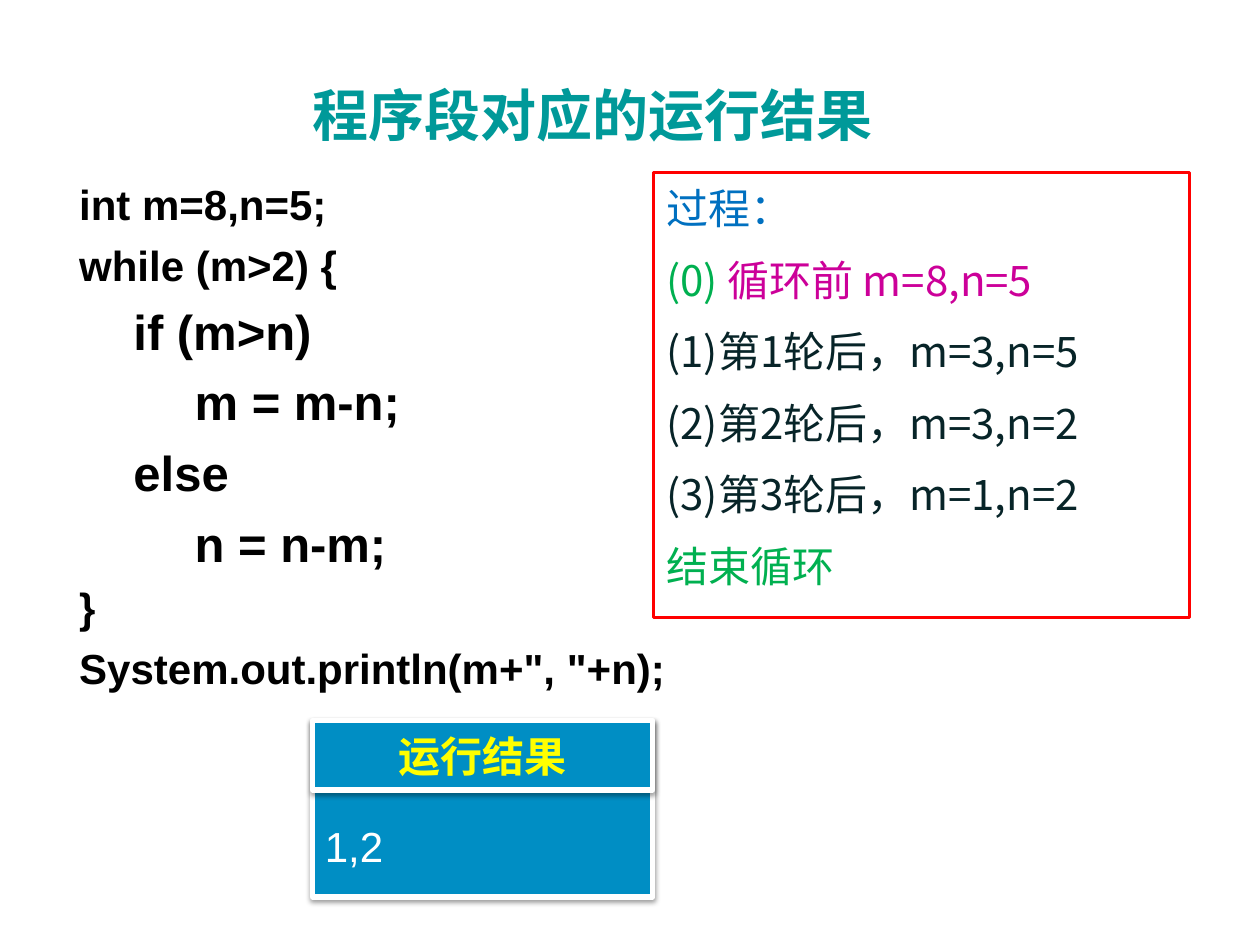
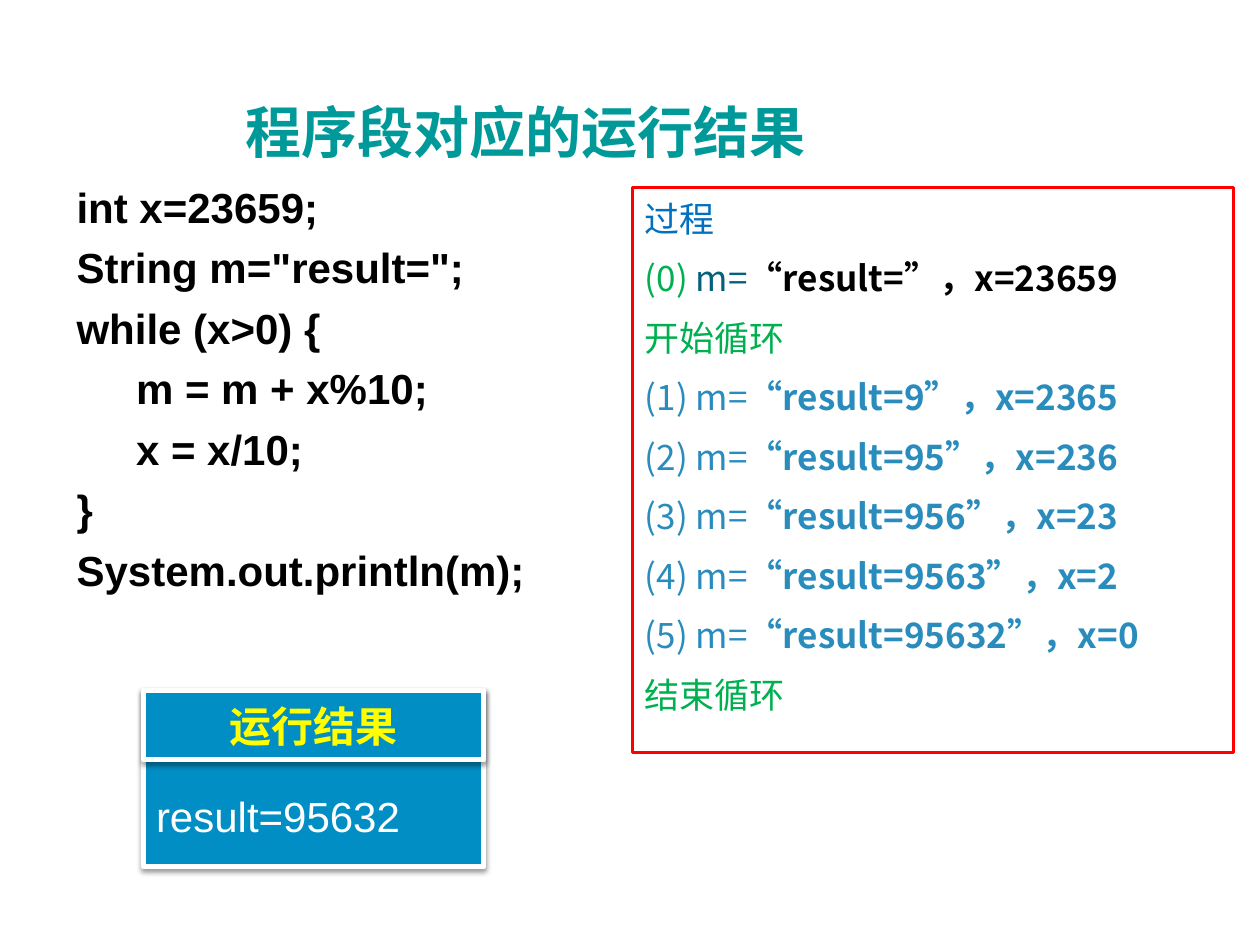
import pptx
import pptx.util
import pptx.dml.color
import pptx.enum.shapes
import pptx.enum.text
import pptx.oxml
import pptx.oxml.ns

Pt = pptx.util.Pt
ANCHOR = pptx.enum.text.MSO_ANCHOR
ALIGN = pptx.enum.text.PP_ALIGN
RECT = pptx.enum.shapes.MSO_SHAPE.RECTANGLE

COLORS = {
    "title": "009999", "black": "000000", "white": "FFFFFF", "frame": "FF0000",
    "card": "008EC4", "yellow": "FFFF00", "heading": "0070C0", "green": "00B050",
    "magenta": "CC0099", "dark": "072428", "teal": "04617B", "step": "298CBD",
}
LATIN, CJK, TITLE_FONT = "Arial", "Noto Sans CJK SC", "Montserrat"
TITLE = "程序段对应的运行结果"
CARD_W, CARD_H, HEAD_H = 194.4, 100.8, 39.6
SHADOW = (
    '<a:effectLst %s><a:outerShdw blurRad="%d" dist="%d" dir="5400000" '
    'rotWithShape="0"><a:srgbClr val="000000"><a:alpha val="38000"/>'
    '</a:srgbClr></a:outerShdw></a:effectLst>'
    % (pptx.oxml.ns.nsdecls("a"), Pt(3.1), Pt(1.6)))


def rgb(name):
    """Look up a named colour."""
    return pptx.dml.color.RGBColor.from_string(COLORS[name])


def add_text(p, text, size=24, color="black", font=LATIN, bold=False):
    """Add a formatted run to a paragraph."""
    r = p.add_run()
    r.text = text
    r.font.size, r.font.name, r.font.bold = Pt(size), font, bold
    r.font.color.rgb = rgb(color)
    ea = pptx.oxml.parse_xml(
        '<a:ea %s typeface="%s"/>' % (pptx.oxml.ns.nsdecls("a"), CJK))
    r.font._element.find(pptx.oxml.ns.qn("a:latin")).addnext(ea)


def paragraphs(tf, count):
    """Yield the given number of paragraphs, starting with the first."""
    for i in range(count):
        yield tf.add_paragraph() if i else tf.paragraphs[0]


def add_rect(shapes, box, line, width, fill=None):
    """Add an outlined rectangle, filled if a fill colour is named."""
    sp = shapes.add_shape(RECT, *map(Pt, box))
    sp.shadow.inherit = False
    if fill:
        sp.fill.solid()
        sp.fill.fore_color.rgb = rgb(fill)
    else:
        sp.fill.background()
    sp.line.color.rgb = rgb(line)
    sp.line.width = Pt(width)
    sp.text_frame.word_wrap = True
    return sp


def set_title(s, box):
    """Place and format the slide title."""
    sp = s.shapes.title
    sp.left, sp.top, sp.width, sp.height = map(Pt, box)
    tf = sp.text_frame
    tf.margin_left = tf.margin_right = tf.margin_bottom = 0
    tf.margin_top = Pt(3.6)
    tf.vertical_anchor = ANCHOR.BOTTOM
    tf.word_wrap = True
    p = tf.paragraphs[0]
    p.alignment = ALIGN.LEFT
    add_text(p, TITLE, size=32, color="title", font=TITLE_FONT, bold=True)


def add_code(s, left, top, lines):
    """Add program lines, each given as indent, size and text."""
    sp = s.shapes.add_textbox(Pt(left), Pt(top), Pt(612), Pt(324))
    tf = sp.text_frame
    tf.word_wrap = True
    for p, (indent, size, text) in zip(paragraphs(tf, len(lines)), lines):
        p.space_before = Pt(0.24 * size)
        p._p.get_or_add_pPr().set("marL", str(Pt(indent)))
        add_text(p, text, size=size, bold=True)


def add_process(s, box, size, lines):
    """Add the framed trace; a line is a list of text, colour, bold runs."""
    tf = add_rect(s.shapes, box, "frame", 1.75).text_frame
    tf.vertical_anchor = ANCHOR.TOP
    for p, runs in zip(paragraphs(tf, len(lines)), lines):
        p.alignment = ALIGN.LEFT
        p.line_spacing = Pt(1.3 * size)
        p.space_before = Pt(0.4 * size)
        for text, color, bold in runs:
            add_text(p, text, size=size, color=color, font=CJK, bold=bold)


def add_result(s, left, top, output):
    """Add the grouped result card with its heading and output."""
    shapes = s.shapes.add_group_shape().shapes
    body, head = [add_rect(shapes, (left, top, CARD_W, h), "white", 3, "card")
                  for h in (CARD_H, HEAD_H)]
    for sp in (body, head):
        pr = sp._element.spPr
        pr.remove(pr.find(pptx.oxml.ns.qn("a:effectLst")))
        pr.append(pptx.oxml.parse_xml(SHADOW))
        sp.text_frame.vertical_anchor = ANCHOR.MIDDLE
    body.text_frame.margin_top = Pt(46)
    p = body.text_frame.paragraphs[0]
    p.alignment = ALIGN.LEFT
    add_text(p, output, color="white")
    p = head.text_frame.paragraphs[0]
    p.alignment = ALIGN.CENTER
    add_text(p, "运行结果", color="yellow", bold=True)


def subtraction_slide(s):
    """Build the repeated subtraction example."""
    set_title(s, (178.6, 37.4, 368.6, 46.8))
    add_code(s, 38.2, 98.6, [
        (0, 24, "int m=8,n=5;"),
        (0, 24, "while (m>2) {"),
        (31, 28, "if (m>n)"),
        (66, 28, "m = m-n;"),
        (31, 28, "else"),
        (66, 28, "n = n-m;"),
        (0, 24, "}"),
        (0, 24, 'System.out.println(m+", "+n);')])
    rounds = [(3, 5), (3, 2), (1, 2)]
    add_process(s, (373.7, 98.6, 306, 254.2), 24, [
        [("过程：", "heading", False)],
        [("(0) ", "green", False), ("循环前 m=8,n=5", "magenta", False)],
        *[[(f"({i})第{i}轮后，m={m},n={n}", "dark", False)]
          for i, (m, n) in enumerate(rounds, 1)],
        [("结束循环", "green", False)]])
    add_result(s, 178.6, 411.8, "1,2")


def digits_slide(s):
    """Build the digit reversal example."""
    set_title(s, (140.4, 45.4, 344.9, 49))
    add_code(s, 36.7, 100.1, [
        (0, 24, "int x=23659;"),
        (0, 24, 'String m="result=";'),
        (0, 24, "while (x>0) {"),
        (34, 24, "m = m + x%10;"),
        (34, 24, "x = x/10;"),
        (0, 24, "}"),
        (0, 24, "System.out.println(m);")])
    number = "23659"
    reverse = number[::-1]
    steps = [[(f"({i}) m=", "step", False),
              (f"“result={reverse[:i]}”，x={number[:-i] or 0}", "step", True)]
             for i in range(1, len(number) + 1)]
    add_process(s, (361.4, 107.3, 343.4, 322.6), 20, [
        [("过程", "heading", False)],
        [("(0) ", "green", False), ("m=", "teal", False),
         (f"“result=”，x={number}", "black", True)],
        [("开始循环", "green", False)],
        *steps,
        [("结束循环", "green", False)]])
    add_result(s, 82.1, 394.6, f"result={reverse}")


def main():
    """Build and save the presentation."""
    prs = pptx.Presentation()
    prs.slide_width, prs.slide_height = Pt(720), Pt(540)
    for build in (subtraction_slide, digits_slide):
        build(prs.slides.add_slide(prs.slide_layouts[5]))
    prs.save("out.pptx")


main()
